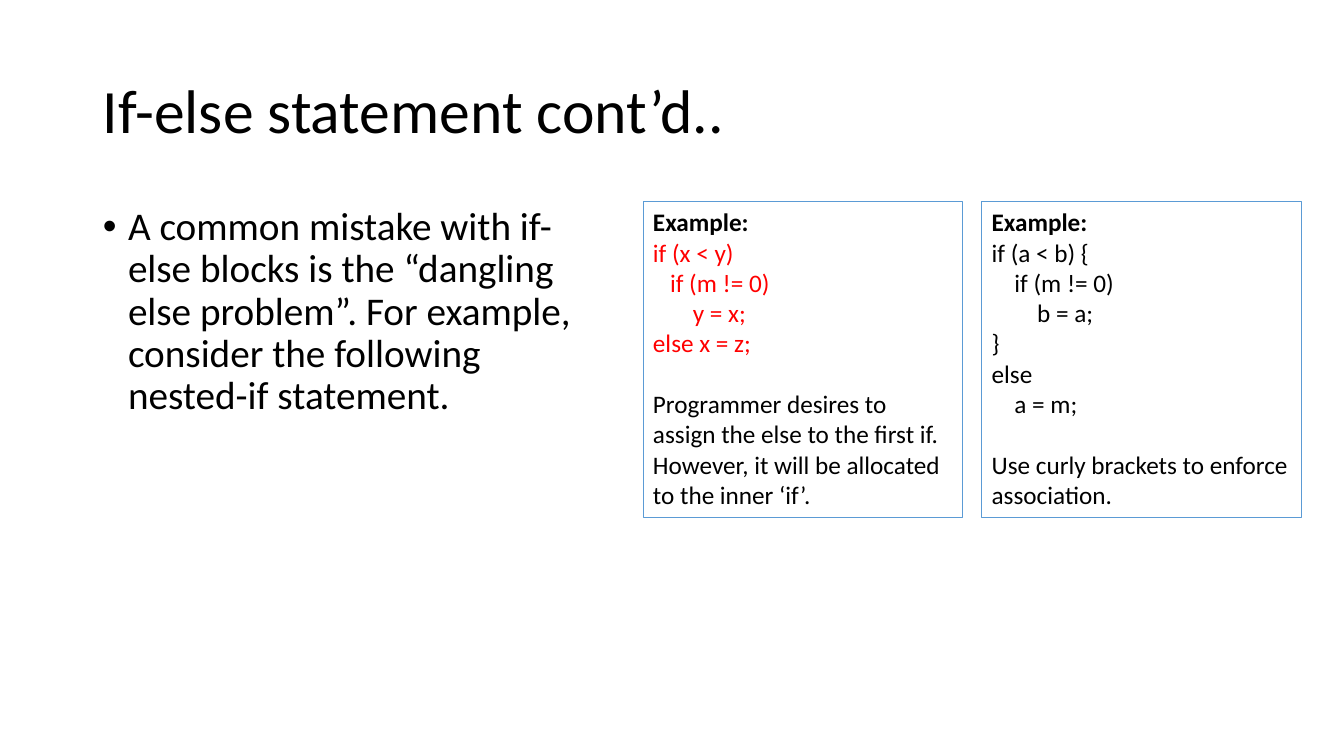
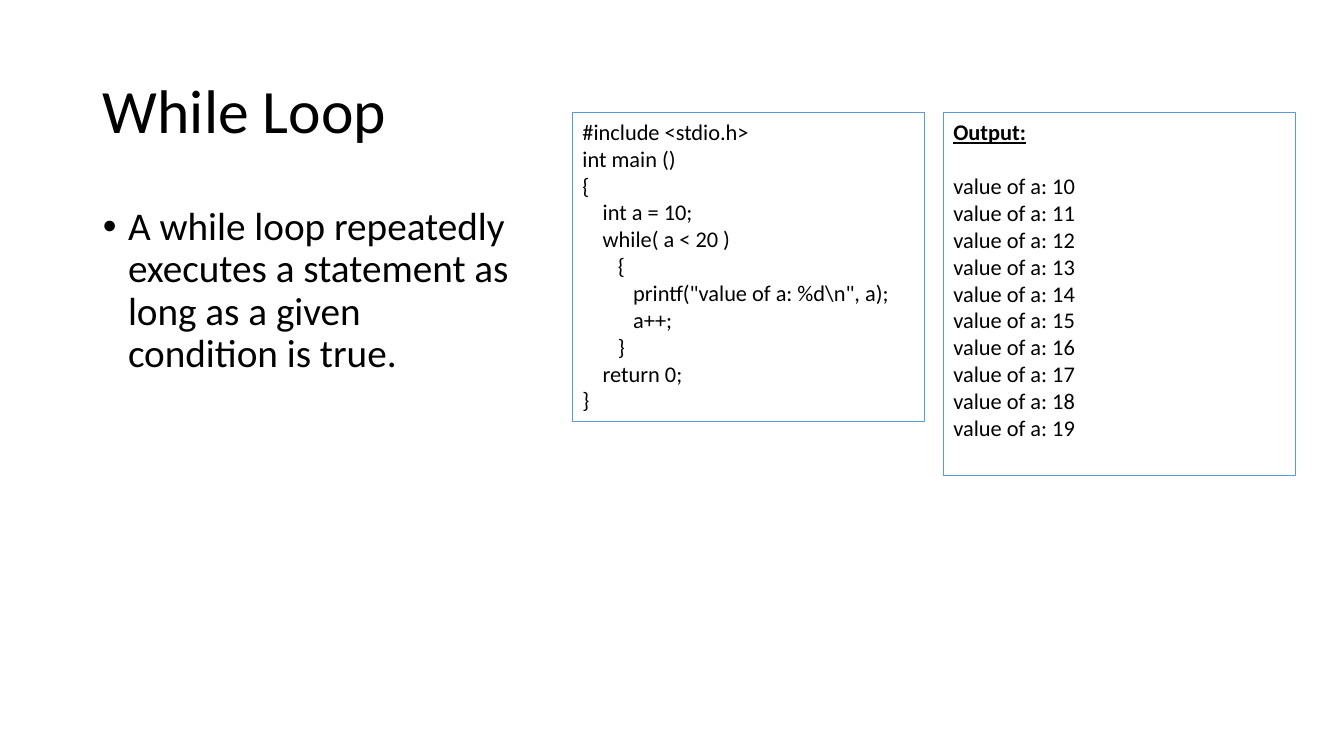
from typing import NamedTuple

from pptx import Presentation
from pptx.dml.color import RGBColor
from pptx.enum.text import MSO_ANCHOR, MSO_AUTO_SIZE, PP_ALIGN
from pptx.util import Inches, Pt

BLACK = RGBColor(0x00, 0x00, 0x00)
RED = RGBColor(0xFF, 0x00, 0x00)
BLUE = RGBColor(0x5B, 0x9B, 0xD5)
FONT = "Calibri"
WIDTH, HEIGHT = Inches(13.33), Inches(7.5)
COL, ROW = WIDTH / 100, HEIGHT / 100
MARGIN, BODY_TOP, GUTTER = 6.9, 26.67, 1.4
SPACE_EM, LINE_EM = 0.226, 1.22


class Line(NamedTuple):
    """One panel line, with its indent in spaces and the gap above in lines."""
    text: str
    indent: int = 0
    gap: int = 0
    color: RGBColor = BLACK
    bold: bool = False
    underline: bool = False


def place(sp, left, top, width, height):
    """Set a shape's box in hundredths of the slide."""
    sp.left, sp.width = int(left * COL), int(width * COL)
    sp.top, sp.height = int(top * ROW), int(height * ROW)


def style(p, size, color=BLACK, bold=False, underline=False):
    """Format every run of a paragraph."""
    for r in p.runs:
        r.font.name, r.font.size = FONT, Pt(size)
        r.font.color.rgb = color
        r.font.bold, r.font.underline = bold, underline


def set_indent(p, left, first=0):
    """Set the left and first-line indents of a paragraph."""
    pPr = p._p.get_or_add_pPr()
    pPr.set("marL", str(int(left)))
    pPr.set("indent", str(int(first)))


def add_slide(prs, title, bullet, body_width):
    """Add a slide with its title and one bullet on the left."""
    s = prs.slides.add_slide(prs.slide_layouts[1])
    place(s.shapes.title, MARGIN, 5.33, 86.25, 19.33)
    body = s.placeholders[1]
    place(body, MARGIN, BODY_TOP, body_width, 63.45)
    for sp, text, size, anchor in (
        (s.shapes.title, title, 44, MSO_ANCHOR.MIDDLE),
        (body, bullet, 28, MSO_ANCHOR.TOP),
    ):
        tf = sp.text_frame
        tf.text = text
        tf.auto_size, tf.vertical_anchor = MSO_AUTO_SIZE.NONE, anchor
        p = tf.paragraphs[0]
        p.alignment, p.line_spacing = PP_ALIGN.LEFT, 0.9
        style(p, size)
    p.space_before = Pt(10)
    set_indent(p, Inches(0.25), -Inches(0.25))
    return s


def add_panel(s, left, top, width, height, size, lines):
    """Add an outlined text panel."""
    sp = s.shapes.add_textbox(0, 0, 0, 0)
    place(sp, left, top, width, height)
    sp.line.color.rgb, sp.line.width = BLUE, Pt(0.75)
    tf = sp.text_frame
    tf.word_wrap = True
    for i, line in enumerate(lines):
        p = tf.add_paragraph() if i else tf.paragraphs[0]
        p.text = line.text
        p.space_before = Pt(round(line.gap * LINE_EM * size, 2))
        set_indent(p, Pt(line.indent * SPACE_EM * size))
        style(p, size, line.color, line.bold, line.underline)


def add_panels(s, left, top, width, size, panels):
    """Add panels side by side, each given as its height and lines."""
    for i, (height, lines) in enumerate(panels):
        add_panel(s, left + i * (width + GUTTER), top, width, height, size, lines)


def add_if_else(prs):
    """Build the slide on the dangling else."""
    s = add_slide(
        prs, "If-else statement cont’d..",
        "A common mistake with if-else blocks is the “dangling else problem”. "
        "For example, consider the following nested-if statement.", 38.25)
    heading = Line("Example:", bold=True)
    dangling = [
        heading,
        Line("if (x < y)", color=RED),
        Line("if (m != 0)", 3, color=RED),
        Line("y = x;", 7, color=RED),
        Line("else x = z;", color=RED),
        Line("Programmer desires to assign the else to the first if. "
             "However, it will be allocated to the inner ‘if’.", gap=1),
    ]
    bracketed = [
        heading,
        Line("if (a < b) {"),
        Line("if (m != 0)", 4),
        Line("b = a;", 8),
        Line("}"),
        Line("else"),
        Line("a = m;", 4),
        Line("Use curly brackets to enforce association.", gap=1),
    ]
    add_panels(s, 47.85, BODY_TOP, 23.8, 18, [(41.75, dangling), (41.75, bracketed)])


def add_while_loop(prs):
    """Build the slide on the while loop."""
    s = add_slide(
        prs, "While Loop",
        "A while loop repeatedly executes a statement as long as a given "
        "condition is true.", 32.1)
    code = [
        Line("#include <stdio.h>"),
        Line("int main ()"),
        Line("{"),
        Line("int a = 10;", 4),
        Line("while( a < 20 )", 4),
        Line("{", 7),
        Line(r'printf("value of a: %d\n", a);', 10),
        Line("a++;", 10),
        Line("}", 7),
        Line("return 0;", 4),
        Line("}"),
    ]
    output = [Line("Output:", bold=True, underline=True)]
    output += [Line(f"value of a: {a}", gap=int(a == 10)) for a in range(10, 20)]
    add_panels(s, 42.6, 14.95, 26.2, 16, [(40.8, code), (48, output)])


def main():
    """Build and save the presentation."""
    prs = Presentation()
    prs.slide_width, prs.slide_height = WIDTH, HEIGHT
    add_if_else(prs)
    add_while_loop(prs)
    prs.save("out.pptx")


if __name__ == "__main__":
    main()
